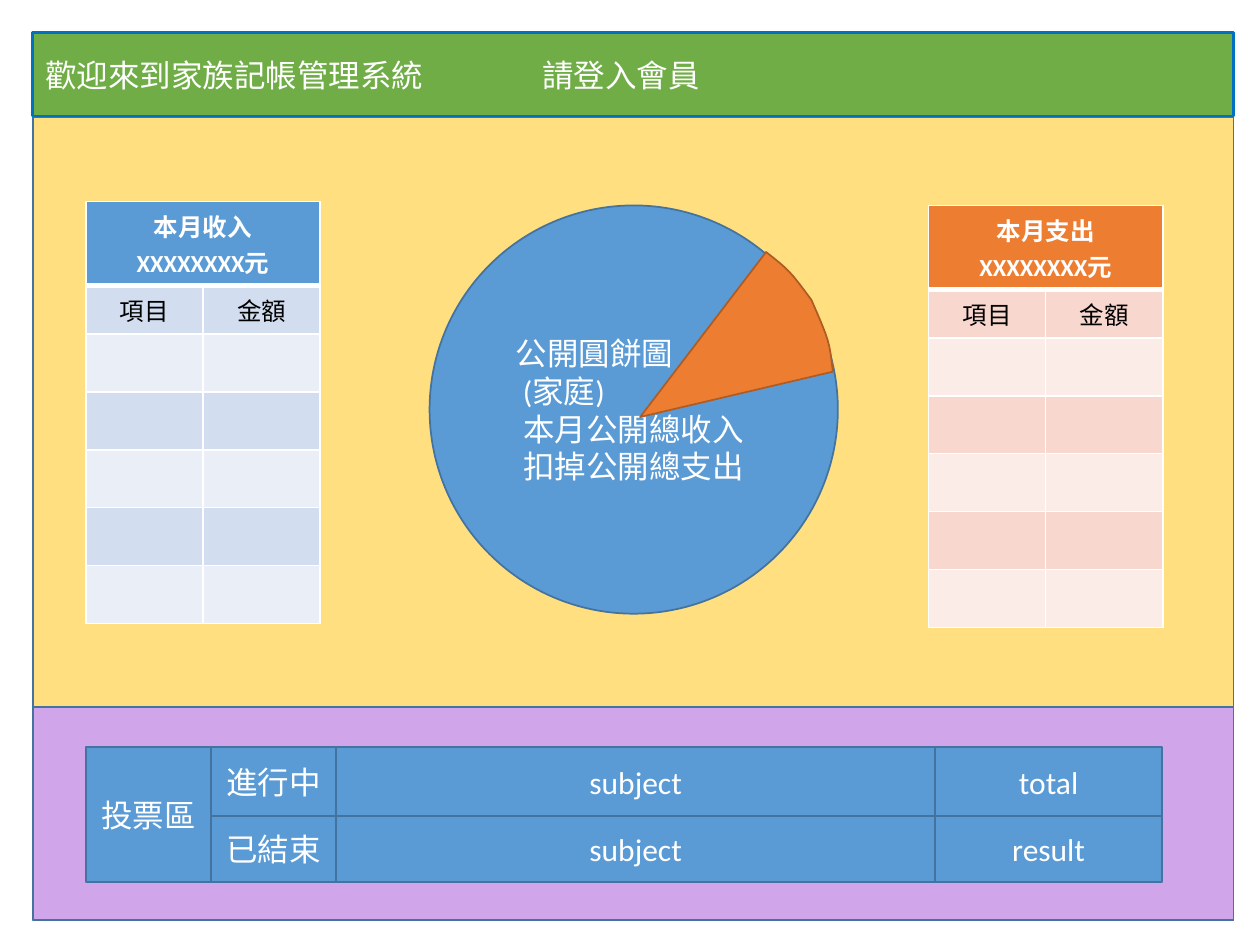
from dataclasses import dataclass

from lxml import etree
from pptx import Presentation
from pptx.dml.color import RGBColor
from pptx.enum.shapes import MSO_SHAPE
from pptx.enum.text import MSO_ANCHOR, MSO_AUTO_SIZE, PP_ALIGN
from pptx.oxml.ns import qn
from pptx.util import Pt

RECT, OVAL = MSO_SHAPE.RECTANGLE, MSO_SHAPE.OVAL
MIDDLE, NO_FIT = MSO_ANCHOR.MIDDLE, MSO_AUTO_SIZE.NONE
LEFT, CENTER = PP_ALIGN.LEFT, PP_ALIGN.CENTER


@dataclass(frozen=True)
class Theme:
    font: str = "Calibri"
    text_size: int = 18
    table_size: int = 14
    white: str = "FFFFFF"
    black: str = "000000"
    blue: str = "5B9BD5"
    blue_line: str = "43739E"
    blue_bands: tuple = ("D2DEEF", "EAEFF7")
    orange: str = "ED7D31"
    orange_line: str = "AF5C24"
    orange_bands: tuple = ("F8D7CE", "FCECE8")
    green: str = "70AD47"
    green_line: str = "0070C0"
    gold: str = "FFC000"
    violet: str = "D1A5E9"


THEME = Theme()
PAGE_LEFT, PAGE_TOP, PAGE_WIDTH, PAGE_HEIGHT = 18.7, 18.7, 686.2, 506.9


def paint(shape, fill, line, line_width=1):
    """Fill and outline a shape; a fill of None leaves it open."""
    if fill:
        shape.fill.solid()
        shape.fill.fore_color.rgb = RGBColor.from_string(fill)
    else:
        shape.fill.background()
    shape.line.color.rgb = RGBColor.from_string(line)
    shape.line.width = Pt(line_width)


def write(frame, text, size=THEME.text_size, color=THEME.white, bold=False, align=CENTER):
    frame.text = text
    for paragraph in frame.paragraphs:
        paragraph.alignment = align
        for run in paragraph.runs:
            run.font.name = THEME.font
            run.font.size = Pt(size)
            run.font.bold = bold
            run.font.color.rgb = RGBColor.from_string(color)


def add_block(slide, box, fill, line=THEME.blue_line, text="", kind=RECT):
    block = slide.shapes.add_shape(kind, *map(Pt, box))
    block.shadow.inherit = False
    paint(block, fill, line)
    if text:
        block.text_frame.vertical_anchor = MIDDLE
        write(block.text_frame, text)
    return block


def add_header(slide):
    header = slide.shapes.title
    header.left, header.top, header.width, header.height = map(
        Pt, (PAGE_LEFT, PAGE_TOP, PAGE_WIDTH, 47.7))
    paint(header, THEME.green, THEME.green_line, 1.5)
    frame = header.text_frame
    frame.auto_size, frame.vertical_anchor = NO_FIT, MIDDLE
    write(frame, "歡迎來到家族記帳管理系統\t請登入會員", align=LEFT)
    # The tab stop places the login prompt
    stops = etree.SubElement(frame.paragraphs[0]._p.get_or_add_pPr(), qn("a:tabLst"))
    etree.SubElement(stops, qn("a:tab"), pos=str(Pt(284)), algn="l")
    # Bring the header in front of the page frame
    header.element.getparent().append(header.element)


def add_panels(slide):
    add_block(slide, (PAGE_LEFT, 403.9, PAGE_WIDTH, 121.7), THEME.violet)
    summary = add_block(slide, (PAGE_LEFT, 67, PAGE_WIDTH, 336.9), THEME.gold)
    color = summary.fill._xPr.find(".//" + qn("a:srgbClr"))
    etree.SubElement(color, qn("a:alpha"), val="50000")
    add_block(slide, (PAGE_LEFT, PAGE_TOP, PAGE_WIDTH, PAGE_HEIGHT), None)


def curve(start, control, end, steps=8):
    """Points after start on a cubic curve whose two controls coincide."""
    for step in range(1, steps + 1):
        t = step / steps
        weights = (1 - t) ** 3, 3 * t * (1 - t), t ** 3
        yield tuple(sum(w * p[axis] for w, p in zip(weights, (start, control, end)))
                    for axis in (0, 1))


def add_pie(slide):
    text = "公開圓餅圖\n(家庭)\n本月公開總收入\n扣掉公開總支出"
    pie = add_block(slide, (245.5, 117.4, 233.3, 233.3), THEME.blue, text=text, kind=OVAL)
    for paragraph, indent in zip(pie.text_frame.paragraphs, (8, 12)):
        paragraph.alignment = LEFT
        paragraph._p.get_or_add_pPr().set("marL", str(Pt(indent)))


def add_expense_slice(slide):
    start, bend, end, center = (437.8, 144), (463.7, 171.4), (475.9, 212.4), (365.8, 238.3)
    outline = [*curve(start, (451.4, 154.8), bend), *curve(bend, (474, 195), end), center]
    builder = slide.shapes.build_freeform(Pt(start[0]), Pt(start[1]))
    builder.add_line_segments([(Pt(x), Pt(y)) for x, y in outline], close=True)
    wedge = builder.convert_to_shape()
    wedge.shadow.inherit = False
    paint(wedge, THEME.orange, THEME.orange_line)


def set_borders(cell, bottom_width, top_width):
    properties = cell._tc.get_or_add_tcPr()
    widths = {"lnL": 1, "lnR": 1, "lnT": top_width, "lnB": bottom_width}
    for index, (side, width) in enumerate(widths.items()):
        border = etree.Element(qn("a:" + side), w=str(Pt(width)))
        fill = etree.SubElement(border, qn("a:solidFill"))
        etree.SubElement(fill, qn("a:srgbClr"), val=THEME.white)
        properties.insert(index, border)


def add_ledger(slide, left, top, heading, head_fill, bands):
    heights = [33.1, 22] + [33.1] * 5
    ledger = slide.shapes.add_table(
        len(heights), 2, Pt(left), Pt(top), Pt(134), Pt(sum(heights))).table
    for column in ledger.columns:
        column.width = Pt(67)
    for index, (row, height) in enumerate(zip(ledger.rows, heights)):
        row.height = Pt(height)
        for cell in row.cells:
            cell.vertical_anchor = MIDDLE
            cell.fill.solid()
            fill = bands[(index - 1) % 2] if index else head_fill
            cell.fill.fore_color.rgb = RGBColor.from_string(fill)
            set_borders(cell, 1 if index else 3, 3 if index == 1 else 1)
    ledger.cell(0, 0).merge(ledger.cell(0, 1))
    write(ledger.cell(0, 0).text_frame, heading + "\nXXXXXXXX元", THEME.table_size, bold=True)
    for column, label in enumerate(("項目", "金額")):
        write(ledger.cell(1, column).text_frame, label, THEME.table_size, THEME.black)


def add_votes(slide):
    left, top, status_width, height = 49, 427, 71.5, 77
    add_block(slide, (left, top, status_width, height), THEME.blue, text="投票區")
    widths = (status_width, 342.5, 129.5)
    rows = ((39.5, ("進行中", "subject", "total")),
            (37.5, ("已結束", "subject", "result")))
    for row_height, labels in rows:
        x = left + status_width
        for width, label in zip(widths, labels):
            add_block(slide, (x, top, width, row_height), THEME.blue, text=label)
            x += width
        top += row_height


def main():
    deck = Presentation()
    deck.slide_width, deck.slide_height = Pt(720), Pt(540)
    slide = deck.slides.add_slide(deck.slide_layouts[5])
    # Page areas
    add_panels(slide)
    add_header(slide)
    # Monthly summary
    add_pie(slide)
    add_ledger(slide, 49, 115.2, "本月收入", THEME.blue, THEME.blue_bands)
    add_ledger(slide, 530.6, 117.4, "本月支出", THEME.orange, THEME.orange_bands)
    add_expense_slice(slide)
    # Voting area
    add_votes(slide)
    deck.save("out.pptx")


main()
